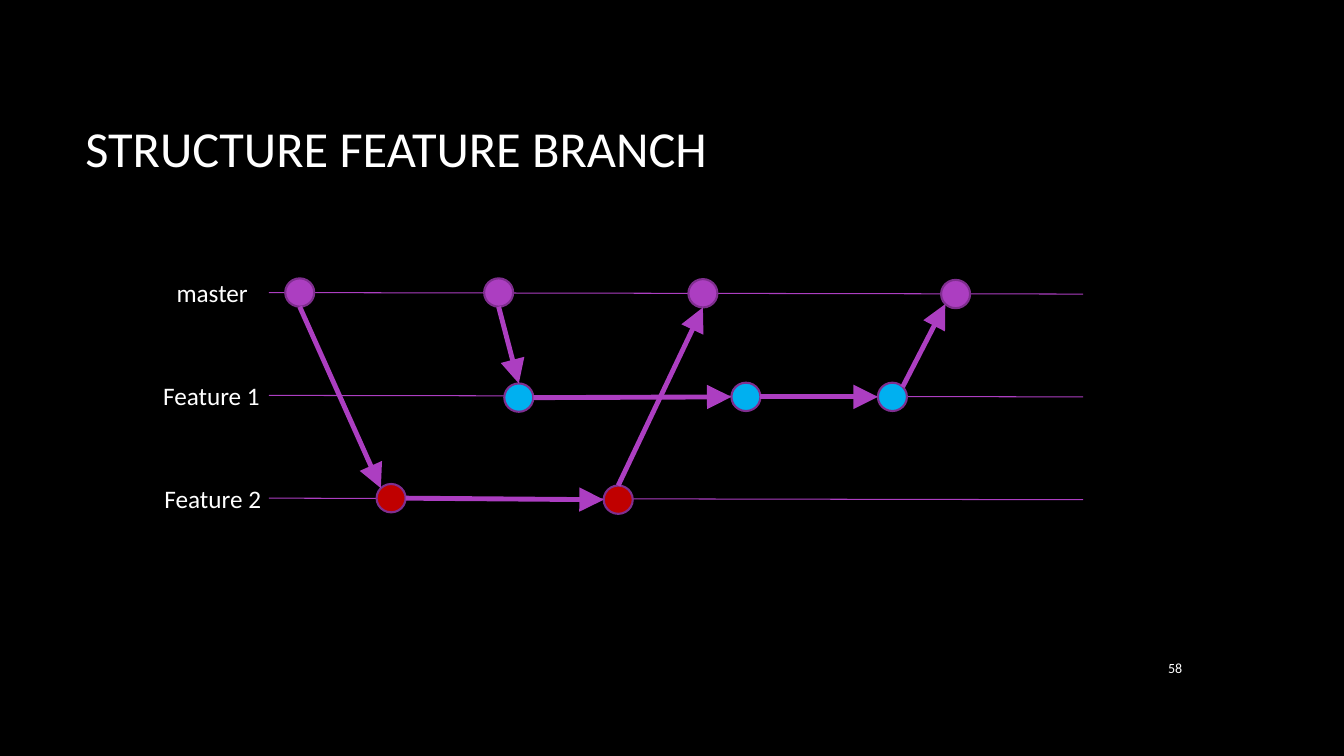
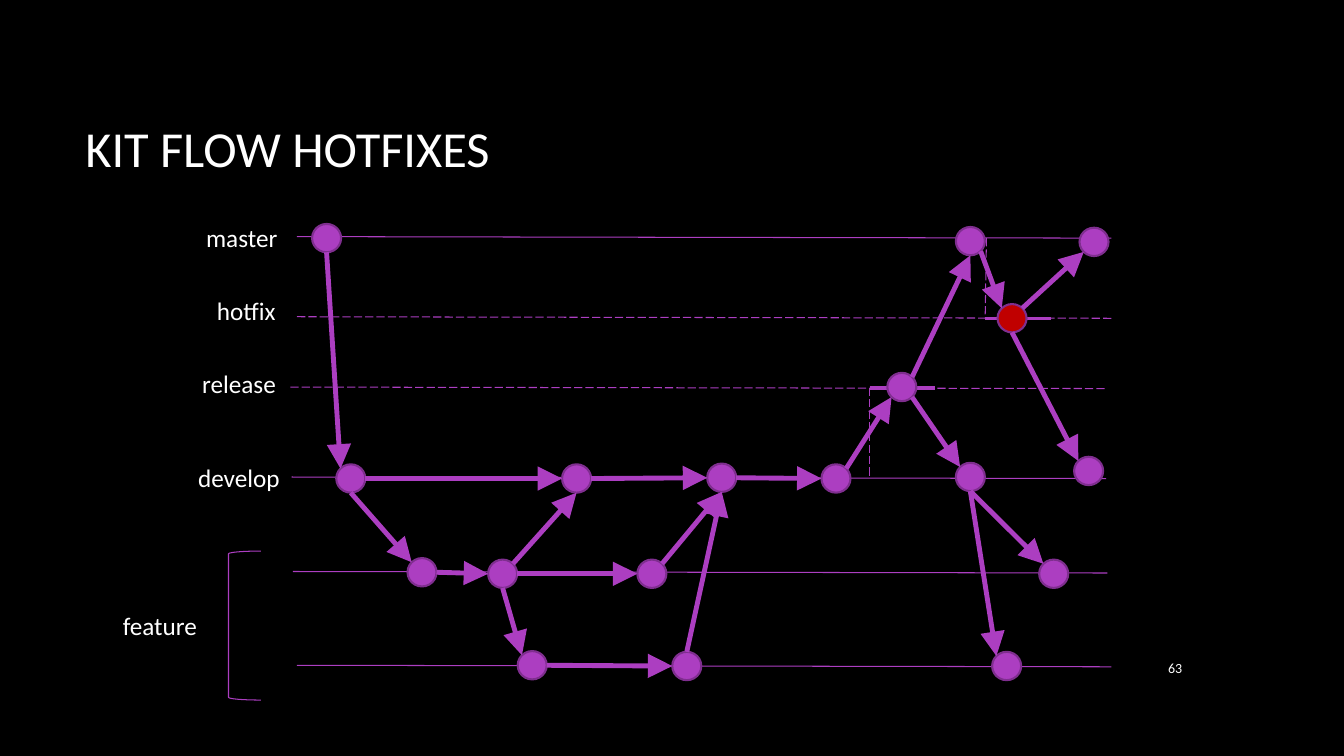
"""Build two branching-diagram slides on a percentage grid."""
from dataclasses import dataclass
from math import sqrt

from lxml import etree
from pptx import Presentation
from pptx import util as u
from pptx.dml.color import RGBColor
from pptx.enum import dml, shapes, text
from pptx.oxml import ns


@dataclass(frozen=True)
class Theme:
    """Hold the colours, type sizes and line weights of the deck."""
    font: str = "Calibri"
    background: str = "000000"
    ink: str = "FFFFFF"
    purple: str = "AC3EC1"
    outline: str = "7F2E8F"
    blue: str = "00B0F0"
    red: str = "C00000"
    title: float = 36
    label: float = 18
    number: float = 10
    thin: float = 0.75
    rim: float = 1.5
    bar: float = 2.5
    arrow: float = 3.5


THEME = Theme()
SLIDE_WIDTH, SLIDE_HEIGHT = u.Inches(13.33), u.Inches(7.5)
COMMIT_WIDTH, COMMIT_HEIGHT = 2.16, 3.75
LANE_LENGTH, LANE_DROP = 60.6, 0.2
LABEL_HEIGHT = 5.3
DIAGONAL = sqrt(0.5)
PORTS = {
    "top": (0, -1), "bottom": (0, 1), "left": (-1, 0), "right": (1, 0),
    "top left": (-DIAGONAL, -DIAGONAL), "top right": (DIAGONAL, -DIAGONAL),
    "bottom left": (-DIAGONAL, DIAGONAL), "bottom right": (DIAGONAL, DIAGONAL),
}

FEATURE_BRANCH = {
    "title": "STRUCTURE FEATURE BRANCH",
    "number": "58",
    "lanes": [(20, 38.7, False), (20, 52.3, False), (20, 65.9, False)],
    "labels": [("master", 12.4, 36, 6.9), ("Feature 1", 11.4, 49.6, 8.8),
               ("Feature 2", 11.5, 63.3, 8.8)],
    "commits": {
        THEME.purple: {"master 1": (22.3, 38.7), "master 2": (37.1, 38.7),
                       "master 3": (52.3, 38.8), "master 4": (71.1, 38.9)},
        THEME.blue: {"first 1": (38.6, 52.6), "first 2": (55.5, 52.5),
                     "first 3": (66.4, 52.5)},
        THEME.red: {"second 1": (29.1, 65.9), "second 2": (46, 66.1)},
    },
    "arrows": [
        ("master 1", "bottom", "second 1", "top left"),
        ("master 2", "bottom", "first 1", "top"),
        ("second 1", "right", "second 2", "left"),
        ("second 2", "top", "master 3", "bottom"),
        ("first 1", "right", "first 2", "left"),
        ("first 2", "right", "first 3", "left"),
        ("first 3", "top right", "master 4", "bottom left"),
    ],
}

HOTFIXES = {
    "title": "KIT FLOW HOTFIXES",
    "number": "63",
    "lanes": [(22.1, 31.3, False), (22.1, 41.9, True), (21.6, 51.2, True),
              (21.7, 63.1, False), (21.8, 75.6, False), (22.1, 88, False)],
    "labels": [("master", 14.6, 28.7, 6.9), ("hotfix", 15.4, 38.4, 6),
               ("release", 14.3, 48.1, 7.1), ("develop", 14, 60.5, 7.7),
               ("feature", 8.4, 80.1, 7.1)],
    "commits": {
        THEME.purple: {
            "master 1": (24.3, 31.5), "master 2": (72.2, 31.9),
            "master 3": (81.4, 32), "release 1": (67.1, 51.2),
            "develop 1": (26.1, 63.3), "develop 2": (42.9, 63.3),
            "develop 3": (53.7, 63.2), "develop 4": (62.2, 63.3),
            "develop 5": (72.2, 63.1), "develop 6": (81, 62.3),
            "upper 1": (31.4, 75.7), "upper 2": (37.4, 75.9),
            "upper 3": (48.5, 75.9), "upper 4": (78.4, 75.9),
            "lower 1": (39.6, 88), "lower 2": (51.1, 88.1),
            "lower 3": (74.9, 88.1),
        },
        THEME.red: {"hotfix 1": (75.3, 42.1)},
    },
    "arrows": [
        ("master 1", "bottom", "develop 1", "top left"),
        ("develop 1", "right", "develop 2", "left"),
        ("develop 2", "right", "develop 3", "left"),
        ("develop 3", "right", "develop 4", "left"),
        ("develop 1", "bottom", "upper 1", "top left"),
        ("upper 1", "right", "upper 2", "left"),
        ("upper 2", "right", "upper 3", "left"),
        ("upper 2", "top right", "develop 2", "bottom"),
        ("upper 3", "top right", "develop 3", "bottom"),
        ("upper 2", "bottom", "lower 1", "top left"),
        ("lower 1", "right", "lower 2", "left"),
        ("lower 2", "top", "develop 3", "bottom"),
        ("develop 4", "top right", "release 1", "bottom left"),
        ("release 1", "top right", "master 2", "bottom"),
        ("release 1", "bottom right", "develop 5", "top left"),
        ("develop 5", "bottom", "upper 4", "top left"),
        ("develop 5", "bottom", "lower 3", "top left"),
        ("master 2", "bottom right", "hotfix 1", "top left"),
        ("hotfix 1", "top right", "master 3", "bottom left"),
        ("hotfix 1", "bottom", "develop 6", "top left"),
    ],
    "bars": [((64.7, 51.3), (69.6, 51.3)), ((73.3, 42.1), (78.2, 42.1))],
    "drops": [((64.7, 51.3), (64.7, 63.1)), ((73.4, 31.5), (73.3, 42.1))],
    "bracket": (17, 72.9, 2.4, 19.7),
}


def column(share):
    """Turn a percentage of the slide width into a length."""
    return round(SLIDE_WIDTH * share / 100)


def row(share):
    """Turn a percentage of the slide height into a length."""
    return round(SLIDE_HEIGHT * share / 100)


def place(left, top, width, height):
    """Turn a grid rectangle into lengths."""
    return column(left), row(top), column(width), row(height)


def rgb(colour):
    """Turn a hex string into a colour."""
    return RGBColor.from_string(colour)


def write(frame, words, size, anchor, align=text.PP_ALIGN.LEFT, wrap=True):
    """Put one styled paragraph into a text frame."""
    frame.text = words
    frame.word_wrap = wrap
    frame.vertical_anchor = anchor
    para = frame.paragraphs[0]
    para.alignment = align
    para.font.name = THEME.font
    para.font.size = u.Pt(size)
    para.font.color.rgb = rgb(THEME.ink)


def add_line(slide, start, end, weight, dashed=False, arrow=False):
    """Draw a straight purple line between two grid points."""
    line = slide.shapes.add_connector(
        shapes.MSO_CONNECTOR.STRAIGHT,
        column(start[0]), row(start[1]), column(end[0]), row(end[1]))
    line.line.color.rgb = rgb(THEME.purple)
    line.line.width = u.Pt(weight)
    if dashed:
        line.line.dash_style = dml.MSO_LINE.LONG_DASH
    properties = line._element.spPr
    if arrow:
        etree.SubElement(properties.find(ns.qn("a:ln")), ns.qn("a:tailEnd"),
                         type="triangle", w="lg", len="lg")
    etree.SubElement(properties, ns.qn("a:effectLst"))


def add_commit(slide, centre, colour):
    """Draw one commit dot around its centre."""
    dot = slide.shapes.add_shape(
        shapes.MSO_SHAPE.OVAL,
        *place(centre[0] - COMMIT_WIDTH / 2, centre[1] - COMMIT_HEIGHT / 2,
               COMMIT_WIDTH, COMMIT_HEIGHT))
    dot.shadow.inherit = False
    dot.fill.solid()
    dot.fill.fore_color.rgb = rgb(colour)
    dot.line.color.rgb = rgb(THEME.outline)
    dot.line.width = u.Pt(THEME.rim)


def add_bracket(slide, area):
    """Draw the bracket that groups lanes."""
    bracket = slide.shapes.add_shape(shapes.MSO_SHAPE.LEFT_BRACKET, *place(*area))
    bracket.shadow.inherit = False
    bracket.fill.background()
    bracket.line.color.rgb = rgb(THEME.purple)
    bracket.line.width = u.Pt(THEME.thin)


def add_label(slide, words, left, top, width):
    """Write a branch name beside its lane."""
    box = slide.shapes.add_textbox(*place(left, top, width, LABEL_HEIGHT))
    write(box.text_frame, words, THEME.label, text.MSO_ANCHOR.TOP, wrap=False)
    box.text_frame.auto_size = text.MSO_AUTO_SIZE.SHAPE_TO_FIT_TEXT


def add_page(deck, title, number):
    """Add a title-only slide with its title and page number."""
    slide = deck.slides.add_slide(deck.slide_layouts.get_by_name("Title Only"))
    heading = slide.shapes.title
    heading.left, heading.top, heading.width, heading.height = place(5.6, 8.9, 83.1, 21.2)
    write(heading.text_frame, title, THEME.title, text.MSO_ANCHOR.MIDDLE)
    box = slide.shapes.add_textbox(*place(84.2, 85.6, 4.5, 5.5))
    write(box.text_frame, number, THEME.number, text.MSO_ANCHOR.MIDDLE, text.PP_ALIGN.RIGHT)
    return slide


def port(centre, side):
    """Find the point on a commit's rim at the given side."""
    across, down = PORTS[side]
    return centre[0] + across * COMMIT_WIDTH / 2, centre[1] + down * COMMIT_HEIGHT / 2


def add_diagram(deck, diagram):
    """Build one slide from its diagram description."""
    slide = add_page(deck, diagram["title"], diagram["number"])
    for left, top, dashed in diagram["lanes"]:
        add_line(slide, (left, top), (left + LANE_LENGTH, top + LANE_DROP), THEME.thin, dashed)
    for label in diagram["labels"]:
        add_label(slide, *label)
    for start, end in diagram.get("bars", []):
        add_line(slide, start, end, THEME.bar)
    for start, end in diagram.get("drops", []):
        add_line(slide, start, end, THEME.thin, dashed=True)
    if "bracket" in diagram:
        add_bracket(slide, diagram["bracket"])
    centres = {}
    for colour, commits in diagram["commits"].items():
        centres.update(commits)
        for centre in commits.values():
            add_commit(slide, centre, colour)
    for source, leaving, target, entering in diagram["arrows"]:
        add_line(slide, port(centres[source], leaving), port(centres[target], entering),
                 THEME.arrow, arrow=True)


def main():
    """Build and save the deck."""
    deck = Presentation()
    deck.slide_width, deck.slide_height = SLIDE_WIDTH, SLIDE_HEIGHT
    backdrop = deck.slide_master.background.fill
    backdrop.solid()
    backdrop.fore_color.rgb = rgb(THEME.background)
    for diagram in (FEATURE_BRANCH, HOTFIXES):
        add_diagram(deck, diagram)
    deck.save("out.pptx")


if __name__ == "__main__":
    main()
